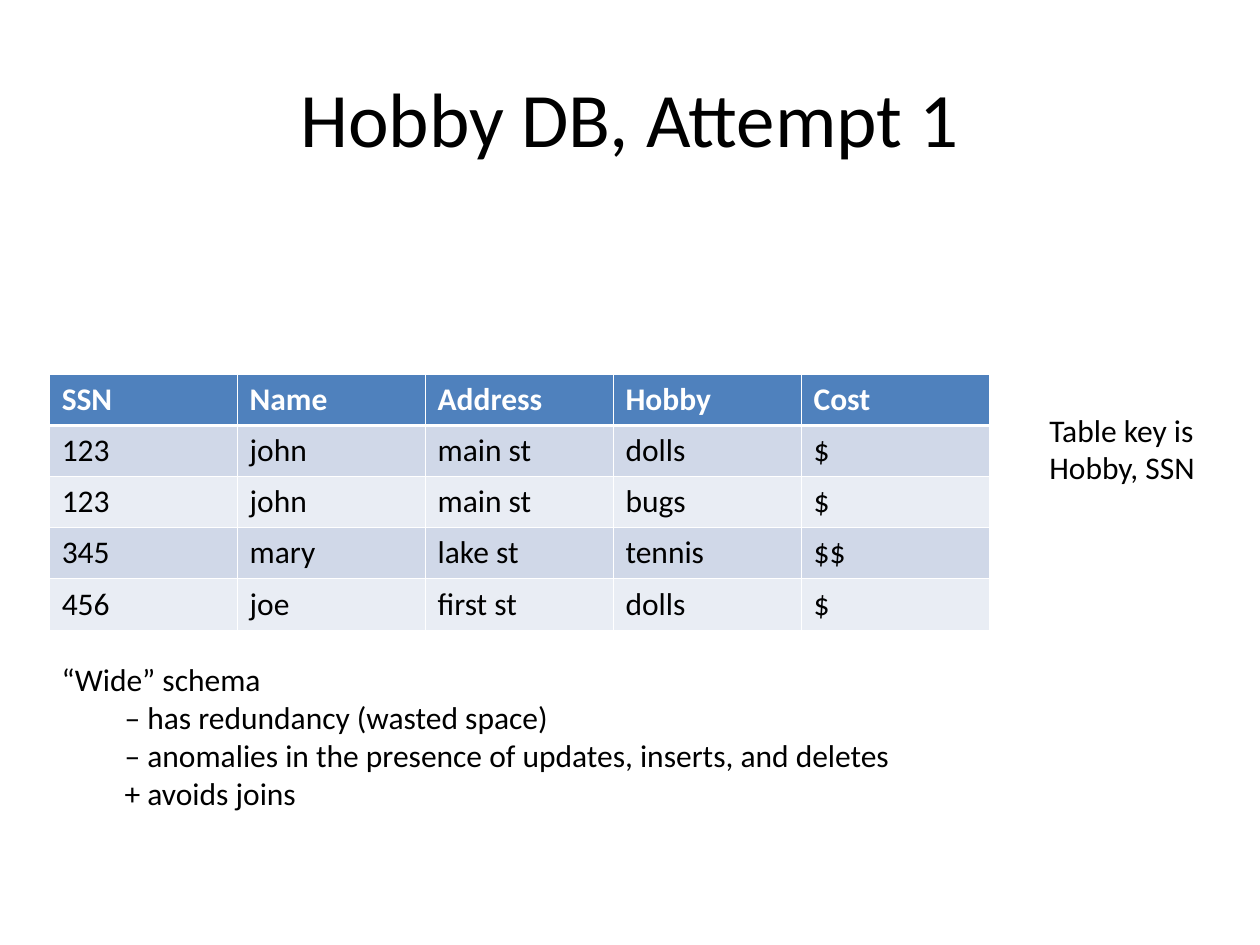
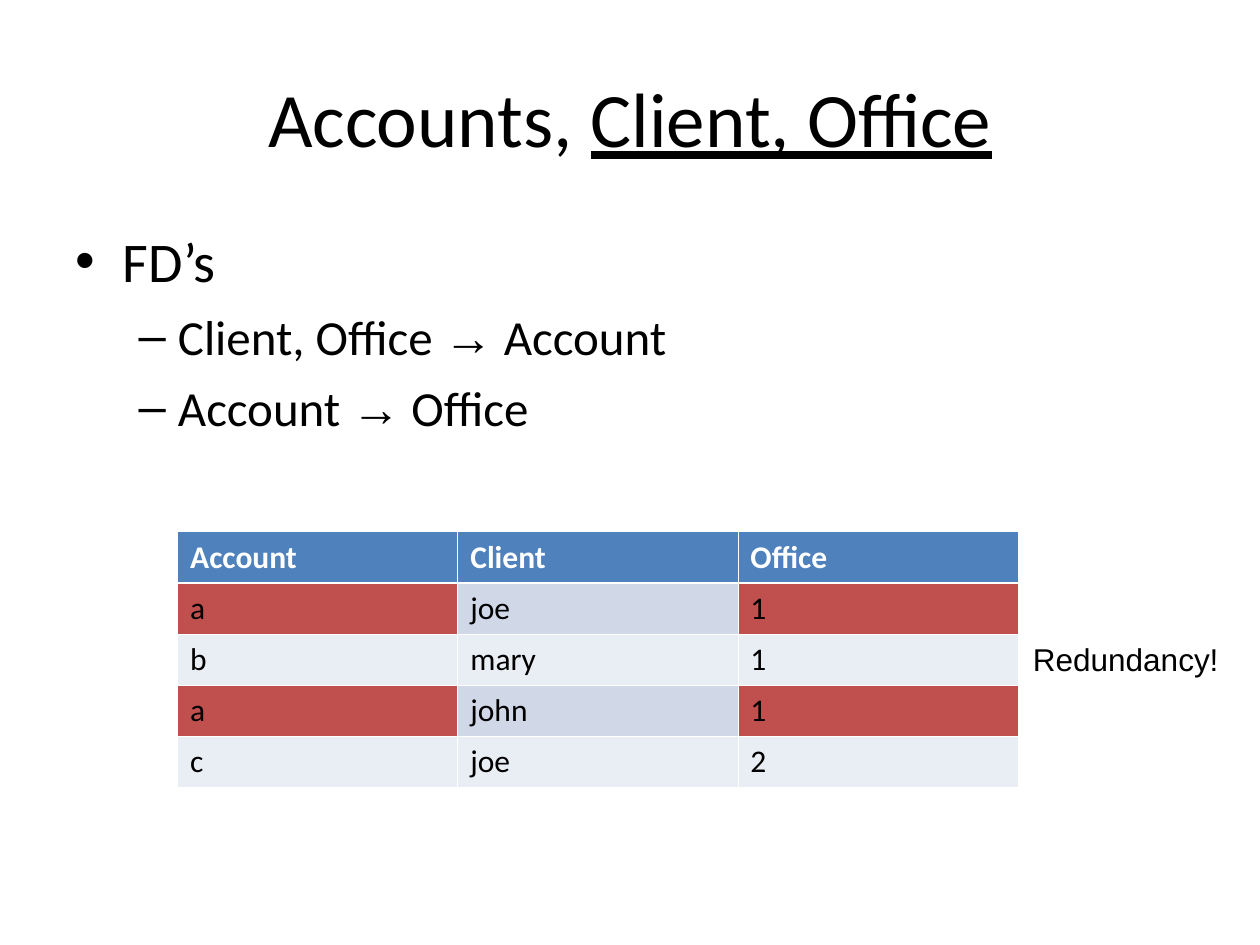
from dataclasses import dataclass
from typing import NamedTuple

from lxml.etree import SubElement
from pptx import Presentation
from pptx.dml.color import RGBColor
from pptx.enum.text import MSO_ANCHOR, MSO_AUTO_SIZE, PP_ALIGN
from pptx.oxml.ns import qn
from pptx.util import Inches, Pt


@dataclass(frozen=True)
class Theme:
    ink: str = "000000"
    paper: str = "FFFFFF"
    header: str = "4F81BD"
    bands: tuple = ("D0D8E8", "E9EDF4")
    alert: str = "C0504D"
    font: str = "Calibri"
    plain_font: str = "Arial"
    title_size: int = 44
    list_sizes: tuple = (32, 28)
    list_gaps: tuple = (8, 7)
    text_size: int = 18
    thin_line: float = 0.45
    thick_line: float = 1.47


THEME = Theme()
SLIDE_WIDTH, SLIDE_HEIGHT = Inches(10), Inches(7.5)
COLUMN, ROW = SLIDE_WIDTH / 20, SLIDE_HEIGHT / 15


class Box(NamedTuple):
    """A region in columns and rows of the slide grid."""
    column: float
    row: float
    columns: float
    rows: float

    def lengths(self):
        return (int(self.column * COLUMN), int(self.row * ROW),
                int(self.columns * COLUMN), int(self.rows * ROW))

    def beside(self, gap, drop, columns, rows):
        return Box(self.column + self.columns + gap, self.row + drop, columns, rows)

    def below(self, gap, columns, rows):
        return Box(self.column, self.row + self.rows + gap, columns, rows)


TITLE_BOX = Box(1, 0.6, 18, 2.5)
LIST_BOX = Box(1, 3.5, 18, 9.9)


# Text
def write(para, text, font=THEME.font, size=THEME.text_size, color=THEME.ink,
          bold=False, underline=False):
    span = para.add_run()
    span.text = text
    span.font.name = font
    span.font.size = Pt(size)
    span.font.color.rgb = RGBColor.from_string(color)
    span.font.bold = bold
    span.font.underline = underline


def paragraphs(frame, count):
    return [frame.paragraphs[0]] + [frame.add_paragraph() for _ in range(count - 1)]


def move(shape, box):
    shape.left, shape.top, shape.width, shape.height = box.lengths()


def add_title(page, box, text, underlined=""):
    title = page.shapes.title
    move(title, box)
    title.text_frame.vertical_anchor = MSO_ANCHOR.MIDDLE
    para = title.text_frame.paragraphs[0]
    para.alignment = PP_ALIGN.CENTER
    write(para, text, size=THEME.title_size)
    if underlined:
        write(para, underlined, size=THEME.title_size, underline=True)


def add_list(page, box, items):
    body = page.placeholders[1]
    move(body, box)
    frame = body.text_frame
    frame.auto_size = MSO_AUTO_SIZE.NONE
    for para, (level, text) in zip(paragraphs(frame, len(items)), items):
        para.level = level
        para.space_before = Pt(THEME.list_gaps[level])
        size = THEME.list_sizes[level]
        before, arrow, after = text.partition("→")
        write(para, before, size=size)
        if arrow:
            write(para, arrow, font=THEME.plain_font, size=size)
            write(para, after, size=size)


def add_note(page, box, lead, points=(), font=THEME.font):
    frame = page.shapes.add_textbox(*box.lengths()).text_frame
    frame.word_wrap = True
    lead_para, *point_paras = paragraphs(frame, 1 + len(points))
    write(lead_para, lead, font=font)
    for para, point in zip(point_paras, points):
        para._p.get_or_add_pPr().set("marL", str(int(COLUMN)))
        write(para, point, font=font)


# Tables
def add_borders(cell, **widths):
    properties = cell._tc.get_or_add_tcPr()
    for side in "LRTB":
        width = Pt(widths.get(side, THEME.thin_line))
        line = SubElement(properties, qn(f"a:ln{side}"), w=str(int(width)))
        fill = SubElement(line, qn("a:solidFill"))
        SubElement(fill, qn("a:srgbClr"), val=THEME.paper)


def add_grid(page, box, rows, alerts=()):
    left, top, width, height = box.lengths()
    table = page.shapes.add_table(len(rows), len(rows[0]), left, top, width, height).table
    for column in table.columns:
        column.width = width // len(rows[0])
    for r, row in enumerate(rows):
        table.rows[r].height = height // len(rows)
        is_header = r == 0
        heavy = {0: {"B": THEME.thick_line}, 1: {"T": THEME.thick_line}}.get(r, {})
        for c, text in enumerate(row):
            cell = table.cell(r, c)
            add_borders(cell, **heavy)
            color = THEME.header if is_header else THEME.bands[(r - 1) % 2]
            if (r, c) in alerts:
                color = THEME.alert
            cell.fill.solid()
            cell.fill.fore_color.rgb = RGBColor.from_string(color)
            write(cell.text_frame.paragraphs[0], text, bold=is_header,
                  color=THEME.paper if is_header else THEME.ink)


# Slides
def add_hobby_slide(deck):
    page = deck.slides.add_slide(deck.slide_layouts.get_by_name("Title Only"))
    add_title(page, TITLE_BOX, "Hobby DB, Attempt 1")
    table_box = Box(0.78, 5.94, 14.92, 4.06)
    add_grid(page, table_box, [
        ("SSN", "Name", "Address", "Hobby", "Cost"),
        ("123", "john", "main st", "dolls", "$"),
        ("123", "john", "main st", "bugs", "$"),
        ("345", "mary", "lake st", "tennis", "$$"),
        ("456", "joe", "first st", "dolls", "$"),
    ])
    add_note(page, table_box.below(0.38, 18.56, 2.6), "“Wide” schema", [
        "– has redundancy (wasted space)",
        "– anomalies in the presence of updates, inserts, and deletes",
        "+ avoids joins",
    ])
    add_note(page, table_box.beside(0.76, 0.48, 2.88, 1.4), "Table key is Hobby, SSN")


def add_accounts_slide(deck):
    page = deck.slides.add_slide(deck.slide_layouts.get_by_name("Title and Content"))
    add_title(page, TITLE_BOX, "Accounts, ", underlined="Client, Office")
    add_list(page, LIST_BOX, [
        (0, "FD’s"),
        (1, "Client, Office → Account"),
        (1, "Account → Office"),
    ])
    table_box = Box(2.82, 8.44, 13.34, 4.06)
    repeated = {(row, column) for row in (1, 3) for column in (0, 2)}
    add_grid(page, table_box, [
        ("Account", "Client", "Office"),
        ("a", "joe", "1"),
        ("b", "mary", "1"),
        ("a", "john", "1"),
        ("c", "joe", "2"),
    ], alerts=repeated)
    add_note(page, table_box.beside(0.04, 1.62, 3.8, 0.8), "Redundancy!",
             font=THEME.plain_font)


def main():
    deck = Presentation()
    deck.slide_width, deck.slide_height = SLIDE_WIDTH, SLIDE_HEIGHT
    add_hobby_slide(deck)
    add_accounts_slide(deck)
    deck.save("out.pptx")


if __name__ == "__main__":
    main()
